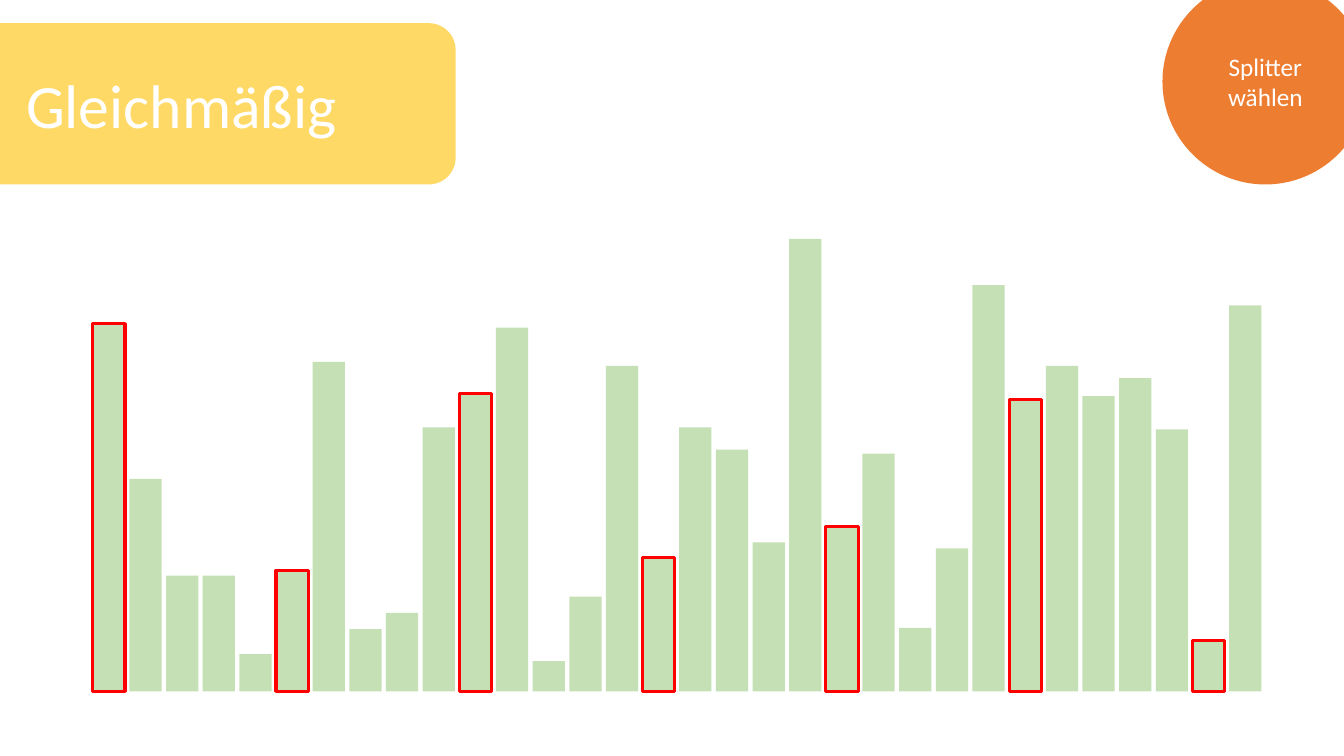
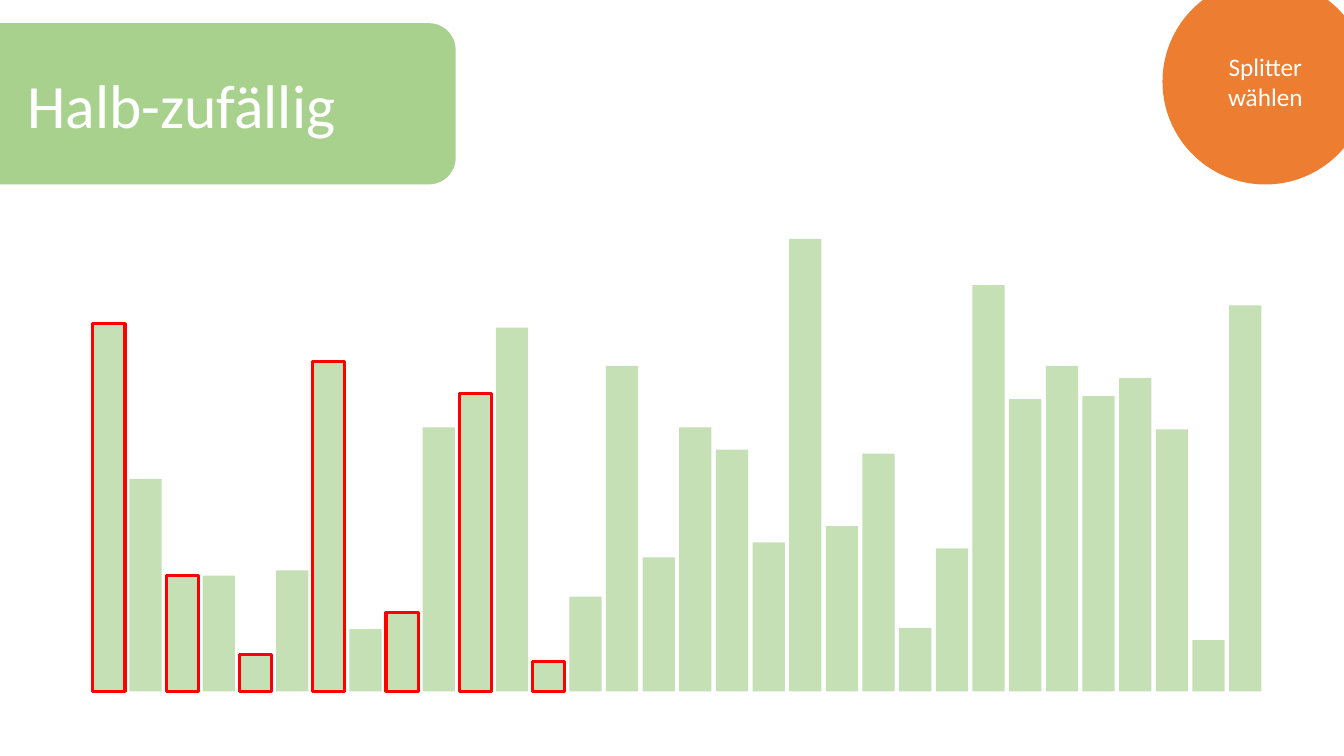
from pptx import Presentation
from pptx.dml.color import RGBColor
from pptx.enum.shapes import MSO_SHAPE as SHAPE
from pptx.enum.text import MSO_ANCHOR as ANCHOR, MSO_AUTO_SIZE as AUTO_SIZE, PP_ALIGN as ALIGN
from pptx.util import Inches, Pt

WHITE = RGBColor(0xFF, 0xFF, 0xFF)
YELLOW = RGBColor(0xFF, 0xD9, 0x66)
GREEN = RGBColor(0xA9, 0xD1, 0x8E)
PALE_GREEN = RGBColor(0xC5, 0xE0, 0xB4)
ORANGE = RGBColor(0xED, 0x7D, 0x31)
RED = RGBColor(0xFF, 0x00, 0x00)

# Bars share a baseline and an even step
BAR_HEIGHTS = [
    3.65, 2.11, 1.15, 1.15, 0.37, 1.2, 3.27, 0.62,
    0.78, 2.62, 2.96, 3.61, 0.3, 0.94, 3.23, 1.33,
    2.62, 2.4, 1.48, 4.49, 1.64, 2.36, 0.63, 1.42,
    4.03, 2.9, 3.23, 2.93, 3.11, 2.6, 0.51, 3.83,
]
FIRST_LEFT, LAST_LEFT = 0.92, 12.19
BAR_STEP = (LAST_LEFT - FIRST_LEFT) / (len(BAR_HEIGHTS) - 1)
BAR_WIDTH, BASELINE = 0.32, 6.86

BANNER_BOX = [Inches(v) for v in (-0.92, 0.23, 5.44, 1.6)]
BADGE_BOX = [Inches(v) for v in (11.53, -0.21, 2.04, 2.04)]

# Title, banner colour and the bars chosen as splitters
SLIDES = [
    ("Gleichmäßig", YELLOW, range(0, len(BAR_HEIGHTS), 5)),
    ("Halb-zufällig", GREEN, range(0, 13, 2)),
]


def add_block(slide, kind, box, color):
    block = slide.shapes.add_shape(kind, *box)
    block.shadow.inherit = False
    block.fill.solid()
    block.fill.fore_color.rgb = color
    block.line.fill.background()
    return block


def write(shape, text, size):
    frame = shape.text_frame
    frame.text = text
    frame_format = {"word_wrap": True, "auto_size": AUTO_SIZE.NONE,
                    "vertical_anchor": ANCHOR.MIDDLE}
    for name, value in frame_format.items():
        setattr(frame, name, value)
    paragraph = frame.paragraphs[0]
    paragraph.alignment = ALIGN.CENTER
    font = paragraph.runs[0].font
    for name, value in {"name": "Calibri", "size": Pt(size)}.items():
        setattr(font, name, value)
    font.color.rgb = WHITE


prs = Presentation()
prs.slide_width, prs.slide_height = Inches(13.33), Inches(7.5)
title_only = prs.slide_layouts[5]

for heading, banner_color, splitters in SLIDES:
    slide = prs.slides.add_slide(title_only)

    # Title on its banner, which goes to the back
    title = slide.shapes.title
    for name, value in zip(("left", "top", "width", "height"), BANNER_BOX):
        setattr(title, name, value)
    write(title, heading, 44)
    banner = add_block(slide, SHAPE.ROUNDED_RECTANGLE, BANNER_BOX, banner_color)
    title.element.addprevious(banner.element)

    # Badge in the corner
    badge = add_block(slide, SHAPE.OVAL, BADGE_BOX, ORANGE)
    write(badge, "Splitter wählen", 18)

    # Bars, with the splitters outlined
    for index, height in enumerate(BAR_HEIGHTS):
        bar_box = [Inches(v) for v in (FIRST_LEFT + index * BAR_STEP,
                                       BASELINE - height, BAR_WIDTH, height)]
        bar = add_block(slide, SHAPE.RECTANGLE, bar_box, PALE_GREEN)
        if index in splitters:
            bar.line.color.rgb = RED
            bar.line.width = Pt(2.25)

prs.save("out.pptx")
